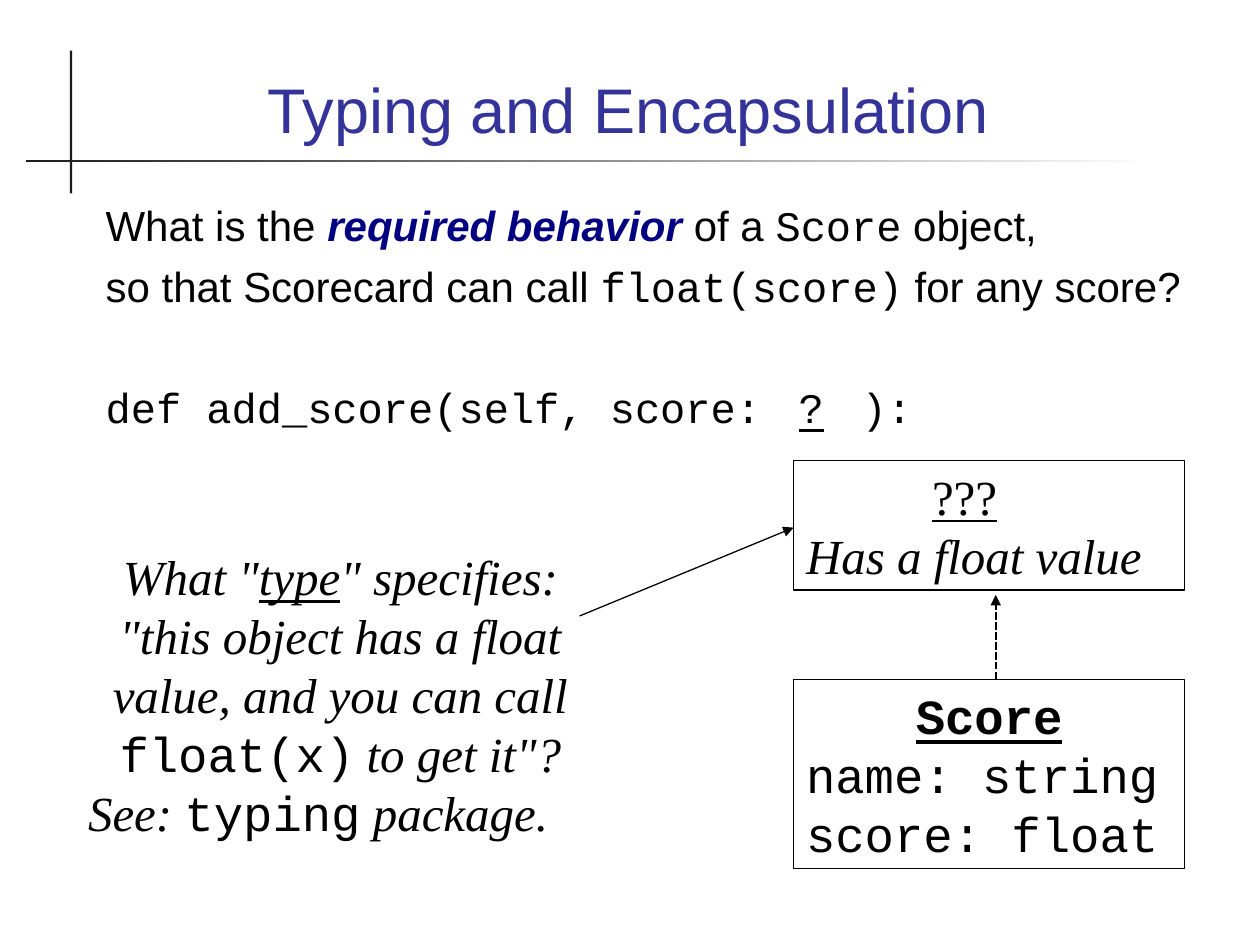
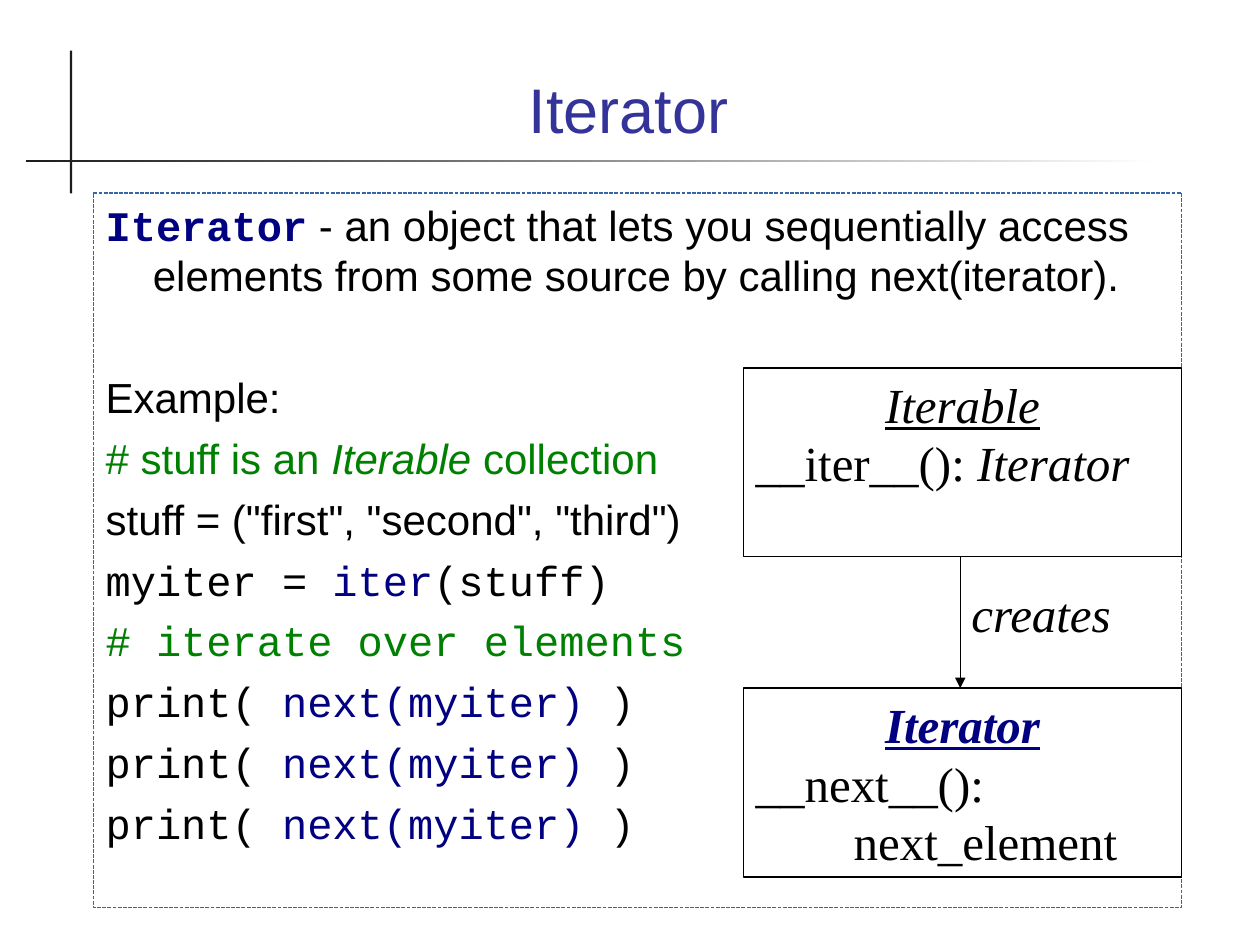
from dataclasses import dataclass
from pptx import Presentation
from pptx.dml.color import RGBColor
from pptx.enum.dml import MSO_LINE
from pptx.enum.shapes import MSO_CONNECTOR, MSO_SHAPE
from pptx.enum.text import MSO_ANCHOR, PP_ALIGN
from pptx.oxml.ns import qn
from pptx.util import Pt
from lxml.etree import SubElement

SANS, MONO, SERIF = "Arial", "Courier New", "Times New Roman"
BLACK, NAVY, GREEN = "000000", "000080", "008000"
TITLE, DARK, WHITE, BLUE = "333399", "1C1C1C", "FFFFFF", "3465A4"
BODY, NOTE, HEAD = 24, 28, 36
LEAD = 1.2
GAP = 6
SKIP = GAP * 2 + BODY * LEAD


@dataclass(frozen=True)
class Run:
    text: str
    font: str = SANS
    color: str = BLACK
    style: str = ""


@dataclass(frozen=True)
class Para:
    runs: tuple[Run, ...]
    center: bool = False
    before: float = 0
    left: float = 0
    hang: float = 0
    tabs: tuple[float, ...] = ()


@dataclass(frozen=True)
class Box:
    left: float
    top: float
    width: float
    height: float
    paras: tuple[Para, ...]
    size: int = NOTE
    edge: str = ""
    dashed: bool = False
    low: bool = False


@dataclass(frozen=True)
class Arrow:
    start: tuple[float, float]
    end: tuple[float, float]
    width: float = 0.75
    dashed: bool = False


def paint(code: str) -> RGBColor:
    return RGBColor.from_string(code)


def line(*runs: Run, center: bool = False) -> Para:
    return Para(runs, center)


def row(*runs: Run, before: float = GAP, hang: float = 0,
        tabs: tuple[float, ...] = ()) -> Para:
    return Para(runs, before=before, left=hang, hang=hang, tabs=tabs)


def write(frame, para: Para, size: int, first: bool) -> None:
    item = frame.paragraphs[0] if first else frame.add_paragraph()
    item.alignment = PP_ALIGN.CENTER if para.center else PP_ALIGN.LEFT
    item.line_spacing = Pt(size * LEAD)
    item.space_before = Pt(para.before)
    for part in para.runs:
        run = item.add_run()
        run.text = part.text
        font = run.font
        font.name, font.size = part.font, Pt(size)
        font.color.rgb = paint(part.color)
        font.bold = "b" in part.style
        font.italic = "i" in part.style
        font.underline = "u" in part.style
    props = item._p.get_or_add_pPr()
    props.set("marL", str(Pt(para.left)))
    props.set("indent", str(Pt(-para.hang)))
    if para.tabs:
        stops = SubElement(props, qn("a:tabLst"))
        for spot in para.tabs:
            SubElement(stops, qn("a:tab"), pos=str(Pt(spot)), algn="l")


def draw_box(slide, box: Box) -> None:
    place = [Pt(n) for n in (box.left, box.top, box.width, box.height)]
    if box.edge:
        shape = slide.shapes.add_shape(MSO_SHAPE.RECTANGLE, *place)
        shape.shadow.inherit = False
        shape.fill.background()
        shape.line.color.rgb = paint(box.edge)
        shape.line.width = Pt(0.75)
        if box.dashed:
            shape.line.dash_style = MSO_LINE.SQUARE_DOT
    else:
        shape = slide.shapes.add_textbox(*place)
    frame = shape.text_frame
    frame.word_wrap = True
    frame.vertical_anchor = MSO_ANCHOR.BOTTOM if box.low else MSO_ANCHOR.TOP
    for index, para in enumerate(box.paras):
        write(frame, para, box.size, index == 0)


def draw_arrow(slide, arrow: Arrow) -> None:
    ends = [Pt(n) for n in arrow.start + arrow.end]
    link = slide.shapes.add_connector(MSO_CONNECTOR.STRAIGHT, *ends)
    link.line.color.rgb = paint(BLACK)
    link.line.width = Pt(arrow.width)
    if arrow.dashed:
        link.line.dash_style = MSO_LINE.SQUARE_DOT
    SubElement(link.line._get_or_add_ln(), qn("a:tailEnd"), type="triangle")
    SubElement(link._element.spPr, qn("a:effectLst"))


def draw_rule(slide, left: float, top: float, width: float, height: float,
              fade: bool) -> None:
    rule = slide.shapes.add_shape(MSO_SHAPE.RECTANGLE, Pt(left), Pt(top),
                                  Pt(width), Pt(height))
    rule.shadow.inherit = False
    rule.line.fill.background()
    if fade:
        rule.fill.gradient()
        rule.fill.gradient_angle = 0
        for stop, code in zip(rule.fill.gradient_stops, (DARK, WHITE)):
            stop.color.rgb = paint(code)
    else:
        rule.fill.solid()
        rule.fill.fore_color.rgb = paint(DARK)


def add_page(deck, title: str, items: list[Box | Arrow]) -> None:
    slide = deck.slides.add_slide(deck.slide_layouts[6])
    draw_rule(slide, 40, 29, 1.25, 81.5, False)
    draw_rule(slide, 15, 91.5, 646.5, 1.25, True)
    head = line(Run(title, color=TITLE), center=True)
    draw_box(slide, Box(48.25, 20.25, 622, 67, (head,), HEAD, low=True))
    for item in items:
        if isinstance(item, Box):
            draw_box(slide, item)
        else:
            draw_arrow(slide, item)


def typing_page() -> list[Box | Arrow]:
    cell = BODY * 0.6
    blank = tuple(cell * n for n in (31, 36))
    asks = (
        row(Run("What is the "), Run("required behavior", color=NAVY, style="bi"),
            Run(" of a "), Run("Score", MONO), Run(" object,")),
        row(Run("so that Scorecard can call "), Run("float(score)", MONO),
            Run(" for any score?")),
        row(Run("def add_score(self, score: ", MONO),
            Run("\t?\t", MONO, style="u"), Run("):", MONO),
            before=SKIP, tabs=blank),
    )
    score = (
        line(Run("Score", MONO, style="bu"), center=True),
        line(Run("name: string", MONO)),
        line(Run("score: float", MONO)),
    )
    guess = (
        Para((Run("\t", SERIF), Run("\t???\t", SERIF, style="u")),
             tabs=(26.5, 82, 182.5)),
        line(Run("Has a float value", SERIF, style="i")),
    )
    hint = (
        line(Run('What "', SERIF, style="i"), Run("type", SERIF, style="iu"),
             Run('" specifies: "this object has a float value, and you can call ',
                 SERIF, style="i"),
             Run("float(x)", MONO), Run(' to get it"?', SERIF, style="i"),
             center=True),
        line(Run("See: ", SERIF, style="i"), Run("typing", MONO),
             Run(" package.", SERIF, style="i")),
    )
    return [
        Box(53.25, 110.25, 666.75, 192, asks, BODY),
        Box(453.5, 388.25, 223.5, 108, score, edge=BLACK),
        Arrow((569, 388.25), (569, 340), 1.42, True),
        Box(453.5, 263, 223.5, 74.25, guess, edge=BLACK),
        Box(43.25, 309, 302.5, 202.25, hint),
        Arrow((331.25, 352), (453.5, 301.5)),
    ]


def iter_page() -> list[Box | Arrow]:
    call = row(Run("print( ", MONO), Run("next(myiter)", MONO, NAVY),
               Run(" )", MONO))
    body = (
        row(Run("Iterator", MONO, NAVY, "b"),
            Run(" - an object that lets you sequentially access elements "
                "from some source by calling next(iterator)."), hang=27),
        row(Run("Example:"), before=SKIP),
        row(Run("# stuff is an ", color=GREEN),
            Run("Iterable", color=GREEN, style="i"),
            Run(" collection", color=GREEN)),
        row(Run('stuff = ("first", "second", "third")')),
        row(Run("myiter = ", MONO), Run("iter", MONO, NAVY),
            Run("(stuff)", MONO)),
        row(Run("# iterate over elements", MONO, GREEN)),
    ) + (call,) * 3
    maker = (
        line(Run("Iterable", SERIF, style="iu"), center=True),
        line(Run("__iter__(): ", SERIF), Run("Iterator", SERIF, style="i")),
    )
    made = (
        line(Run("Iterator", SERIF, NAVY, "biu"), center=True),
        line(Run("__next__():", SERIF)),
        Para((Run("next_element", SERIF),), left=56),
    )
    verb = (line(Run("creates", SERIF, style="i")),)
    return [
        Box(53.25, 110.25, 622, 408.25, body, BODY, BLUE, True),
        Box(424.75, 393.25, 250.5, 108, made, edge=BLACK),
        Box(424.75, 210.25, 250.5, 108, maker, edge=BLACK),
        Arrow((548.75, 318.25), (548.75, 393.25)),
        Box(548, 329.75, 108, 41, verb),
    ]


def main() -> None:
    deck = Presentation()
    deck.slide_width, deck.slide_height = Pt(720), Pt(540)
    add_page(deck, "Typing and Encapsulation", typing_page())
    add_page(deck, "Iterator", iter_page())
    deck.save("out.pptx")


if __name__ == "__main__":
    main()
